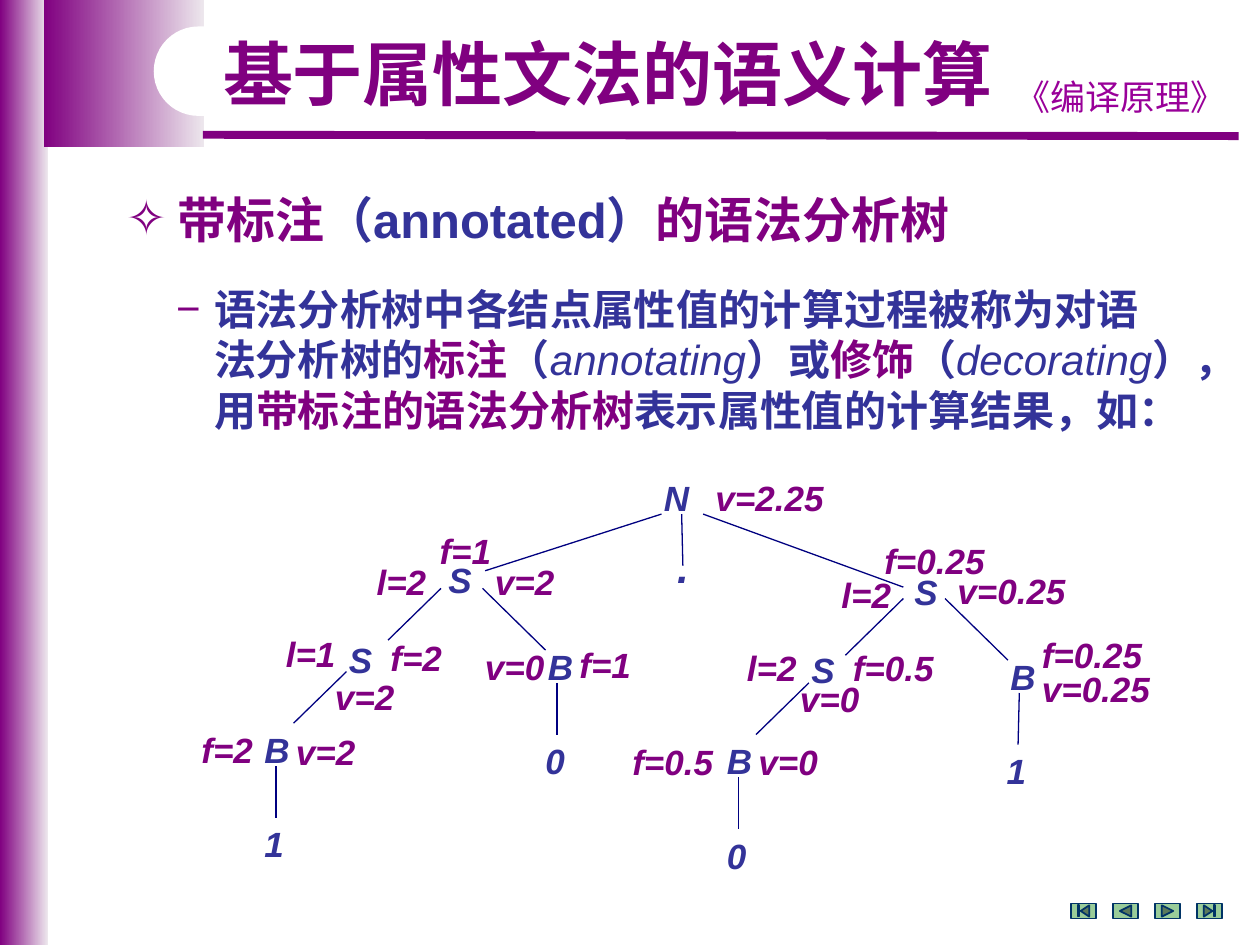
from lxml.etree import SubElement
from pptx import Presentation
from pptx.dml.color import RGBColor
from pptx.enum.shapes import MSO_CONNECTOR as LINE, MSO_SHAPE as SHAPE
from pptx.enum.text import MSO_ANCHOR as ANCHOR, MSO_AUTO_SIZE as FIT, PP_ALIGN as ALIGN
from pptx.oxml.ns import qn
from pptx.util import Inches, Pt

PURPLE, BLUE, NAVY = "800080", "333399", "000080"
CJK = "Noto Sans CJK SC"
hex_color = RGBColor.from_string
FRAME = {"word_wrap": True, "auto_size": FIT.NONE, "vertical_anchor": ANCHOR.TOP}


def write(frame, paragraphs, size, font="Arial", align=ALIGN.LEFT, spacing=None, **style):
    for key, value in FRAME.items():
        setattr(frame, key, value)
    for index, parts in enumerate(paragraphs):
        paragraph = frame.paragraphs[0] if index == 0 else frame.add_paragraph()
        paragraph.alignment = align
        if spacing:
            paragraph.line_spacing = Pt(spacing)
        for words, color, *changes in parts:
            run = paragraph.add_run()
            run.text = words
            look = {"size": Pt(size), "name": font, "bold": True, "italic": False}
            look.update(style)
            for change in changes:
                look.update(change)
            for key, value in look.items():
                setattr(run.font, key, value)
            run.font.color.rgb = hex_color(color)
            SubElement(run.font._element, qn("a:ea"), typeface=CJK)


def indent(paragraph, left, first, bullet=None):
    props = paragraph._p.get_or_add_pPr()
    props.set("marL", str(Inches(left)))
    props.set("indent", str(Inches(first)))
    if bullet:
        SubElement(SubElement(props, qn("a:buClr")), qn("a:srgbClr"), val=PURPLE)
        SubElement(props, qn("a:buFont"), typeface="Arial")
        SubElement(props, qn("a:buChar"), char=bullet)


prs = Presentation()
prs.slide_width, prs.slide_height = Inches(10), Inches(7.5)
slide = prs.slides.add_slide(prs.slide_layouts[5])
shapes = slide.shapes

for x, width, height in [(0, 0.38, 7.5), (0.35, 1.27, 1.17)]:
    band = shapes.add_shape(SHAPE.RECTANGLE, Inches(x), 0, Inches(width), Inches(height))
    band.shadow.inherit = False
    band.line.fill.background()
    band.fill.gradient()
    band.fill.gradient_angle = 0
    for stop, color in zip(band.fill.gradient_stops, [PURPLE, "EDE7ED"]):
        stop.color.rgb = hex_color(color)

title_back = shapes.add_shape(
    SHAPE.ROUNDED_RECTANGLE, Inches(1.22), Inches(0.21), Inches(3.62), Inches(0.71))
title_back.adjustments[0] = 0.5
title_back.shadow.inherit = False
title_back.fill.solid()
title_back.fill.fore_color.rgb = hex_color("FFFFFF")
title_back.line.fill.background()

title = shapes.title
title.left, title.top, title.width, title.height = map(Inches, (1.67, 0.21, 6.39, 0.7))
write(title.text_frame, [[("基于属性文法的语义计算", PURPLE)]], 40, spacing=47)
title.element.getparent().append(title.element)

course = shapes.add_textbox(Inches(7.91), Inches(0.52), Inches(1.97), Inches(0.43))
write(course.text_frame, [[("《编译原理》", "990099")]], 20, CJK, ALIGN.CENTER, 26, bold=False)

heading = shapes.add_textbox(Inches(0.9), Inches(1.42), Inches(8.74), Inches(0.57))
write(heading.text_frame, [[
    ("带标注", PURPLE), ("（annotated）", BLUE), ("的语法分析树", PURPLE)]], 28, spacing=36)
indent(heading.text_frame.paragraphs[0], 0.41, -0.41, "✧")

TERM = {"bold": False, "italic": True}
explanation = shapes.add_textbox(Inches(1.3), Inches(2.2), Inches(8.51), Inches(1.31))
write(explanation.text_frame, [
    [("语法分析树中各结点属性值的计算过程被称为对语", BLUE)],
    [("法分析树的", BLUE), ("标注", PURPLE), ("（", BLUE), ("annotating", BLUE, TERM),
     ("）或", BLUE), ("修饰", PURPLE), ("（", BLUE), ("decorating", BLUE, TERM), ("），", BLUE)],
    [("用", BLUE), ("带标注的语法分析树", PURPLE), ("表示属性值的计算结果，如：", BLUE)],
], 24, spacing=28.8)
first, *others = explanation.text_frame.paragraphs
indent(first, 0.3, -0.3, "−")
for paragraph in others:
    indent(paragraph, 0, 0.3)

branches = [
    (5.25, 4.08, 3.85, 4.53), (5.41, 4.08, 5.42, 4.49), (5.58, 4.08, 7.17, 4.66),
    (3.5, 4.67, 3.08, 5.08), (3.83, 4.67, 4.33, 5.16), (2.75, 5.33, 2.33, 5.74),
    (4.42, 5.42, 4.42, 5.83), (2.19, 6.08, 2.19, 6.49),
    (7.17, 4.75, 6.71, 5.2), (7.5, 4.75, 8, 5.24), (6.42, 5.42, 6, 5.83),
    (8.09, 5.5, 8.08, 5.91), (5.86, 6.17, 5.86, 6.58),
]
title_rule = (1.61, 1.07, 9.83, 1.08)
for ends, color, weight in [(title_rule, PURPLE, 4.5)] + [(b, NAVY, 0.75) for b in branches]:
    stroke = shapes.add_connector(LINE.STRAIGHT, *map(Inches, ends))
    stroke.line.color.rgb = hex_color(color)
    stroke.line.width = Pt(weight)
    SubElement(stroke._element.spPr, qn("a:effectLst"))

symbols = [
    ("N", 5.17, 3.73, 0.5), ("S", 3.46, 4.38, 0.38), ("S", 7.16, 4.48, 0.43),
    ("S", 2.67, 5.02, 0.39), ("B", 4.25, 5.07, 0.42), ("S", 6.34, 5.1, 0.39),
    ("B", 7.92, 5.15, 0.42), ("B", 2, 5.73, 0.42), ("0", 4.23, 5.82, 0.36),
    ("B", 5.67, 5.82, 0.42), ("1", 7.89, 5.9, 0.36), ("1", 2, 6.48, 0.36),
    ("0", 5.67, 6.57, 0.36),
]
attributes = [
    ("v=2.25", 5.58, 3.73, 1.25),
    ("f=1", 3.39, 4.15, 0.69), ("l=2", 2.89, 4.4, 0.69), ("v=2", 3.83, 4.4, 0.83),
    ("f=0.25", 6.92, 4.23, 1.08), ("l=2", 6.58, 4.5, 0.67), ("v=0.25", 7.5, 4.47, 1.08),
    ("l=1", 2.17, 4.97, 0.61), ("f=2", 3, 5, 0.67), ("v=2", 2.56, 5.31, 0.69),
    ("v=0", 3.75, 5.07, 0.75), ("f=1", 4.5, 5.06, 0.67),
    ("l=2", 5.83, 5.08, 0.67), ("f=0.5", 6.67, 5.08, 0.92), ("v=0", 6.25, 5.33, 0.75),
    ("f=0.25", 8.17, 4.98, 1.08), ("v=0.25", 8.17, 5.25, 1.08),
    ("f=2", 1.5, 5.73, 0.67), ("v=2", 2.25, 5.75, 0.75),
    ("f=0.5", 4.92, 5.83, 1), ("v=0", 5.92, 5.83, 0.75),
]
for group, color in [(symbols, BLUE), (attributes, PURPLE)]:
    for words, x, y, width in group:
        label = shapes.add_textbox(Inches(x), Inches(y), Inches(width), Inches(0.43))
        write(label.text_frame, [[(words, color)]], 20, italic=True)

point = shapes.add_textbox(Inches(5.25), Inches(4.25), Inches(0.34), Inches(0.5))
write(point.text_frame, [[(".", BLUE)]], 24, align=ALIGN.CENTER, italic=True)

buttons = [SHAPE.ACTION_BUTTON_BEGINNING, SHAPE.ACTION_BUTTON_BACK_OR_PREVIOUS,
           SHAPE.ACTION_BUTTON_FORWARD_OR_NEXT, SHAPE.ACTION_BUTTON_END]
for index, kind in enumerate(buttons):
    button = shapes.add_shape(
        kind, Inches(8.5 + index / 3), Inches(7.17), Inches(0.2), Inches(0.12))
    button.shadow.inherit = False
    button.fill.solid()
    button.fill.fore_color.rgb = hex_color("99CC99")
    button.line.color.rgb = hex_color("003366")
    button.line.width = Pt(1)

prs.save("out.pptx")
